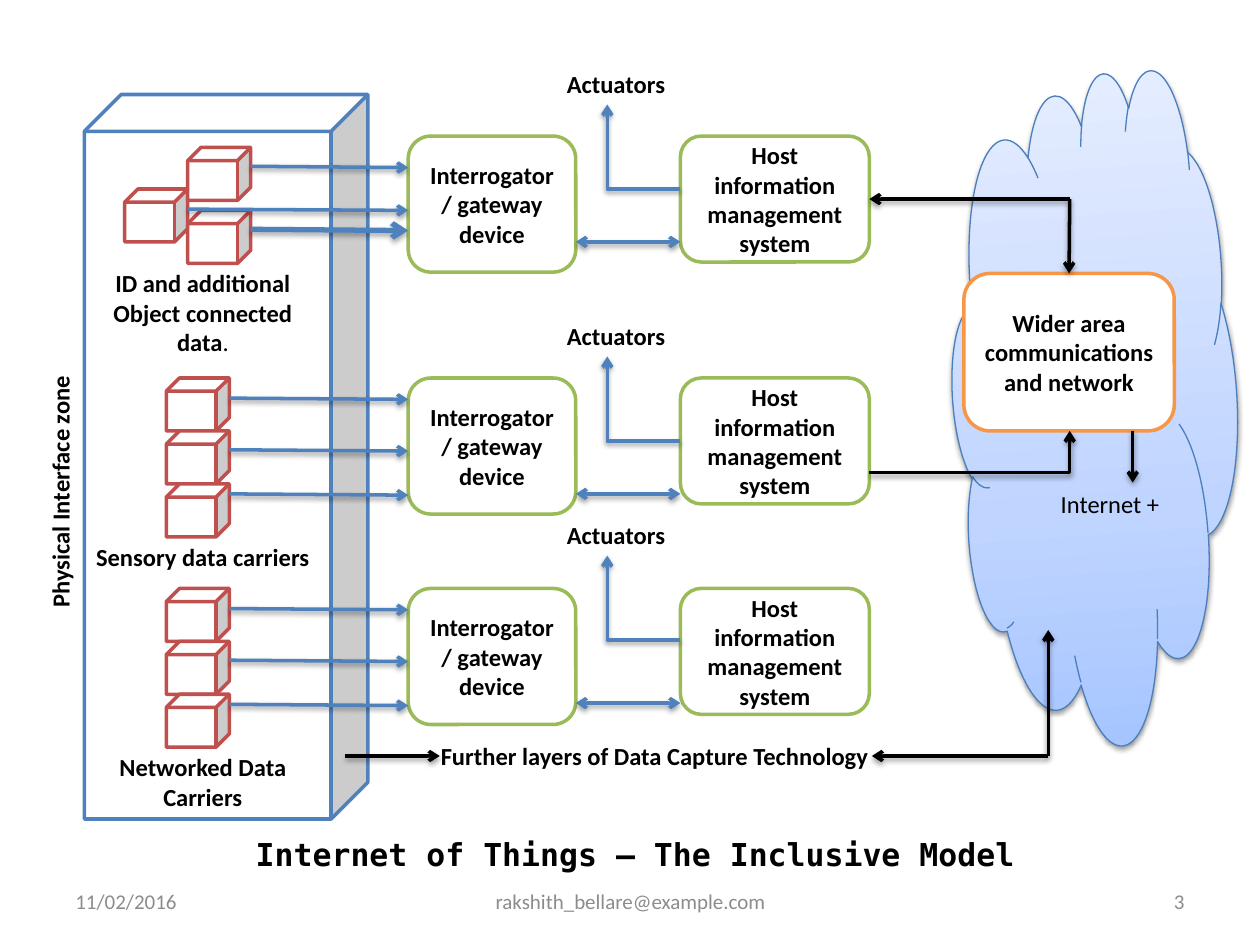
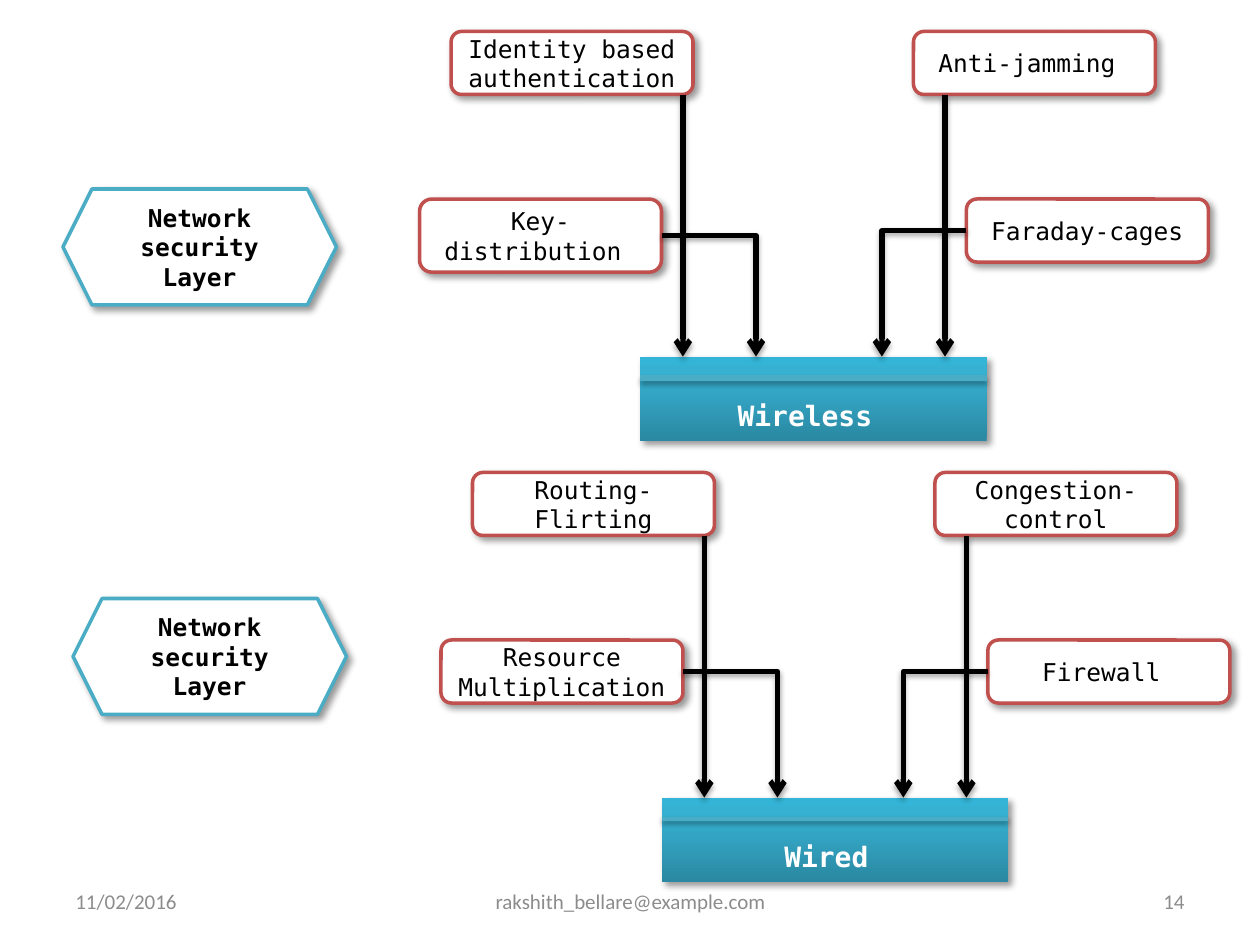
from copy import deepcopy

from lxml.etree import SubElement
from pptx import Presentation
from pptx.dml.color import RGBColor
from pptx.enum.shapes import MSO_CONNECTOR, MSO_SHAPE
from pptx.enum.text import MSO_ANCHOR, MSO_AUTO_SIZE, PP_ALIGN
from pptx.oxml.ns import qn
from pptx.util import Inches, Pt

SANS = "Calibri"
MONO = "DejaVu Sans Mono"
BLACK, WHITE, GREY = "000000", "FFFFFF", "8C8C8C"
BLUE, RED, GREEN = "4F81BD", "C0504D", "9BBB59"
ORANGE, TEAL = "F79646", "4BACC6"
CLOUD_FILL = [(0, "A4C4FF"), (0.35, "BFD4FF"), (1, "E6EEFF")]
HUB_FILL = [(0, "2A88A2"), (0.8, "37B1D2"), (1, "34B4D6")]
THIN_SHADOW = (38, 3.1, 1.6, 90)
THICK_SHADOW = (35, 3.1, 1.8, 90)
CARD_SHADOW = (40, 4, 3, 45)
TITLE_ONLY, BLANK = 5, 6
LEFT, CENTER, RIGHT = PP_ALIGN.LEFT, PP_ALIGN.CENTER, PP_ALIGN.RIGHT


def color(value):
    return RGBColor.from_string(value)


class Painter:
    def __init__(self, deck):
        self.deck = deck
        self.page = None

    def new_page(self, layout, number):
        self.page = self.deck.slides.add_slide(self.deck.slide_layouts[layout])
        footers = [
            (0.5, 2.33, "11/02/2016", LEFT),
            (3.42, 3.17, "rakshith_bellare@example.com", CENTER),
            (7.17, 2.33, number, RIGHT),
        ]
        for left, width, words, align in footers:
            box = self.label(left, 6.95, width, 0.4, words, align, size=12, ink=GREY, bold=False)
            box.text_frame.vertical_anchor = MSO_ANCHOR.MIDDLE

    def set_words(self, frame, words, align=CENTER, size=14, font=SANS, ink=BLACK, bold=True):
        frame.word_wrap = True
        frame.auto_size = MSO_AUTO_SIZE.NONE
        frame.text = words
        para = frame.paragraphs[0]
        para.alignment = align
        for span in para.runs:
            span.font.size = Pt(size)
            span.font.name = font
            span.font.bold = bold
            span.font.color.rgb = color(ink)

    def title(self, left, top, width, height, words):
        box = self.page.shapes.title
        box.left, box.top = Inches(left), Inches(top)
        box.width, box.height = Inches(width), Inches(height)
        self.set_words(box.text_frame, words, size=18, font=MONO)

    def label(self, left, top, width, height, words, align=LEFT, **style):
        box = self.page.shapes.add_textbox(Inches(left), Inches(top), Inches(width), Inches(height))
        self.set_words(box.text_frame, words, align, **style)
        return box

    def shadow(self, item, settings):
        opacity, blur, distance, angle = settings
        properties = item._element.spPr
        effects = properties.find(qn("a:effectLst"))
        if effects is None:
            effects = SubElement(properties, qn("a:effectLst"))
        outer = SubElement(effects, qn("a:outerShdw"), blurRad=str(Pt(blur)), dist=str(Pt(distance)),
                           dir=str(angle * 60000), algn="ctr", rotWithShape="0")
        tint = SubElement(outer, qn("a:srgbClr"), val=BLACK)
        SubElement(tint, qn("a:alpha"), val=str(opacity * 1000))

    def gradient(self, shape, stops):
        shape.fill.gradient()
        shape.fill.gradient_angle = 90
        stop_list = shape._element.spPr.find(".//" + qn("a:gsLst"))
        while len(stop_list) < len(stops):
            stop_list.append(deepcopy(stop_list[-1]))
        for stop, (position, value) in zip(shape.fill.gradient_stops, stops):
            stop.position = position
            stop.color.rgb = color(value)

    def shape(self, kind, left, top, width, height, outline=None, weight=2, stops=None,
              shadow=None, words=None, **style):
        shape = self.page.shapes.add_shape(kind, Inches(left), Inches(top), Inches(width), Inches(height))
        shape.shadow.inherit = False
        if stops:
            self.gradient(shape, stops)
        else:
            shape.fill.solid()
            shape.fill.fore_color.rgb = color(WHITE)
        if outline:
            shape.line.color.rgb = color(outline)
            shape.line.width = Pt(weight)
        else:
            shape.line.fill.background()
        if shadow:
            self.shadow(shape, shadow)
        if words:
            self.set_words(shape.text_frame, words, **style)
        return shape

    def line(self, start, end, ink=BLACK, weight=2, arrows=("tailEnd",), bent=False, target=None):
        kind = MSO_CONNECTOR.ELBOW if bent else MSO_CONNECTOR.STRAIGHT
        points = [Inches(value) for value in (*start, *end)]
        connector = self.page.shapes.add_connector(kind, *points)
        if target is not None:
            connector.end_connect(*target)
        connector.line.color.rgb = color(ink)
        connector.line.width = Pt(weight)
        properties = connector._element.spPr
        if bent:
            properties.find(qn("a:prstGeom")).set("prst", "bentConnector2")
        for arrow in arrows:
            SubElement(properties.find(qn("a:ln")), qn("a:" + arrow), type="arrow")
        self.shadow(connector, THICK_SHADOW if weight == 3 else THIN_SHADOW)

    def cube(self, left, top):
        self.shape(MSO_SHAPE.CUBE, left, top, 0.5, 0.42, RED)


def draw_interface_zone(painter, row_tops):
    zone = painter.shape(MSO_SHAPE.CUBE, 0.67, 0.75, 2.25, 5.75, BLUE)
    zone.adjustments[0] = 0.13
    for left, top in [(0.99, 1.5), (1.49, 1.67), (1.49, 1.17)]:
        painter.cube(left, top)
    for top in row_tops[1:]:
        for step in range(3):
            painter.cube(1.32, top + 0.42 * step)
    captions = [
        (2.08, 0.81, "ID and additional Object connected data"),
        (4.25, 0.34, "Sensory data carriers"),
        (5.92, 0.57, "Networked Data Carriers"),
    ]
    boxes = [painter.label(0.65, top, 1.92, height, words, CENTER) for top, height, words in captions]
    span = boxes[0].text_frame.paragraphs[0].add_run()
    span.text = "."
    span.font.size = Pt(14)
    span.font.name = SANS
    zone_name = painter.label(-0.81, 3.46, 2.58, 0.34, "Physical Interface zone")
    zone_name.rotation = 270


def draw_capture_row(painter, top, actuator_top, exchange_y, feeds):
    painter.shape(MSO_SHAPE.ROUNDED_RECTANGLE, 3.24, top, 1.33, 1.08, GREEN,
                  words="Interrogator/ gateway device")
    painter.shape(MSO_SHAPE.ROUNDED_RECTANGLE, 5.4, top, 1.5, 1, GREEN,
                  words="Host information management system")
    for left, y, weight in feeds:
        painter.line((left, y), (3.24, y + 0.01), BLUE, weight)
    painter.line((4.57, exchange_y), (5.4, exchange_y), BLUE, arrows=("headEnd", "tailEnd"))
    painter.line((5.4, actuator_top + 1), (4.82, actuator_top + 0.33), BLUE, bent=True)
    painter.label(4.4, actuator_top, 1.33, 0.34, "Actuators")


def draw_model(painter):
    painter.new_page(TITLE_ONLY, "3")
    painter.title(1.83, 6.58, 6.42, 0.4, "Internet of Things – The Inclusive Model")
    cloud = painter.shape(MSO_SHAPE.CLOUD, 7.57, 0.58, 2.25, 5.33, "4B7EBC", 0.75,
                          stops=CLOUD_FILL, shadow=THIN_SHADOW)
    cloud.rotation = 356

    row_tops = [1.08, 3, 4.67]
    draw_interface_zone(painter, row_tops)
    feeds = [[(1.99, 1.82, 3), (1.99, 1.32, 2), (1.49, 1.66, 2)]]
    for top in row_tops[1:]:
        feeds.append([(1.82, top + drop, 2) for drop in (0.16, 0.57, 0.92)])
    for row in zip(row_tops, [0.5, 2.5, 4.08], [1.92, 3.92, 5.58], feeds):
        draw_capture_row(painter, *row)

    network = painter.shape(MSO_SHAPE.ROUNDED_RECTANGLE, 7.65, 2.17, 1.67, 1.25, ORANGE,
                            words="Wider area communications and network")
    painter.label(3.4, 5.83, 4.67, 0.34, "Further layers of Data Capture Technology")
    painter.line((2.74, 6), (3.49, 6))
    painter.line((8.32, 6), (8.32, 5))
    painter.line((8.32, 6), (6.92, 6))
    painter.line((6.9, 3.75), (8.49, 3.42), bent=True)
    painter.line((8.49, 1.58), (8.49, 2.17), target=(network, 0))
    painter.line((8.49, 1.58), (6.9, 1.58))
    painter.line((8.99, 3.42), (8.99, 3.83))
    painter.label(8.32, 3.83, 1.33, 0.34, "Internet +", bold=False)


def draw_security_group(painter, dx, dy, measures, hub_name, rule_weight):
    hub_top = 2.83 + dy
    for left, top, height, words in measures:
        painter.shape(MSO_SHAPE.ROUNDED_RECTANGLE, left + dx, top + dy, 1.92, height, RED,
                      shadow=CARD_SHADOW, words=words, font=MONO, bold=False)
    hub = painter.shape(MSO_SHAPE.RECTANGLE, 5.08 + dx, hub_top, 2.75, 0.67, stops=HUB_FILL,
                        shadow=CARD_SHADOW, words=hub_name, size=16, font=MONO, ink=WHITE)
    hub.text_frame.margin_top = Inches(0.31)
    for x in (5.42 + dx, 7.5 + dx):
        painter.line((x, 0.75 + dy), (x, hub_top), weight=3)
    for (left, top, height, words), start, end in zip(measures[2:], (5.25, 7.67), (6, 7)):
        painter.line((start + dx, top + height / 2 + dy), (end + dx, hub_top), weight=3, bent=True)
    painter.line((5.08 + dx, 3 + dy), (7.83 + dx, 3 + dy), TEAL, rule_weight, arrows=())


def draw_security(painter):
    painter.new_page(BLANK, "14")
    wireless = [
        (7.25, 0.25, 0.5, "Anti-jamming "),
        (3.58, 0.25, 0.5, "Identity based authentication"),
        (3.33, 1.58, 0.58, "Key-distribution "),
        (7.67, 1.58, 0.5, "Faraday-cages"),
    ]
    wired_words = ["Congestion-control", "Routing-Flirting", "Resource Multiplication ", "Firewall "]
    wired = [(left, top, 0.5, words) for (left, top, *_), words in zip(wireless, wired_words)]
    draw_security_group(painter, 0, 0, wireless, "Wireless ", 3)
    draw_security_group(painter, 0.17, 3.5, wired, "Wired ", 2)
    for left, top in [(0.58, 4.75), (0.5, 1.5)]:
        painter.shape(MSO_SHAPE.HEXAGON, left, top, 2.17, 0.92, TEAL, shadow=CARD_SHADOW,
                      words="Network security Layer", font=MONO)


def main():
    deck = Presentation()
    deck.slide_width, deck.slide_height = Inches(10), Inches(7.5)
    painter = Painter(deck)
    draw_model(painter)
    draw_security(painter)
    deck.save("out.pptx")


if __name__ == "__main__":
    main()
